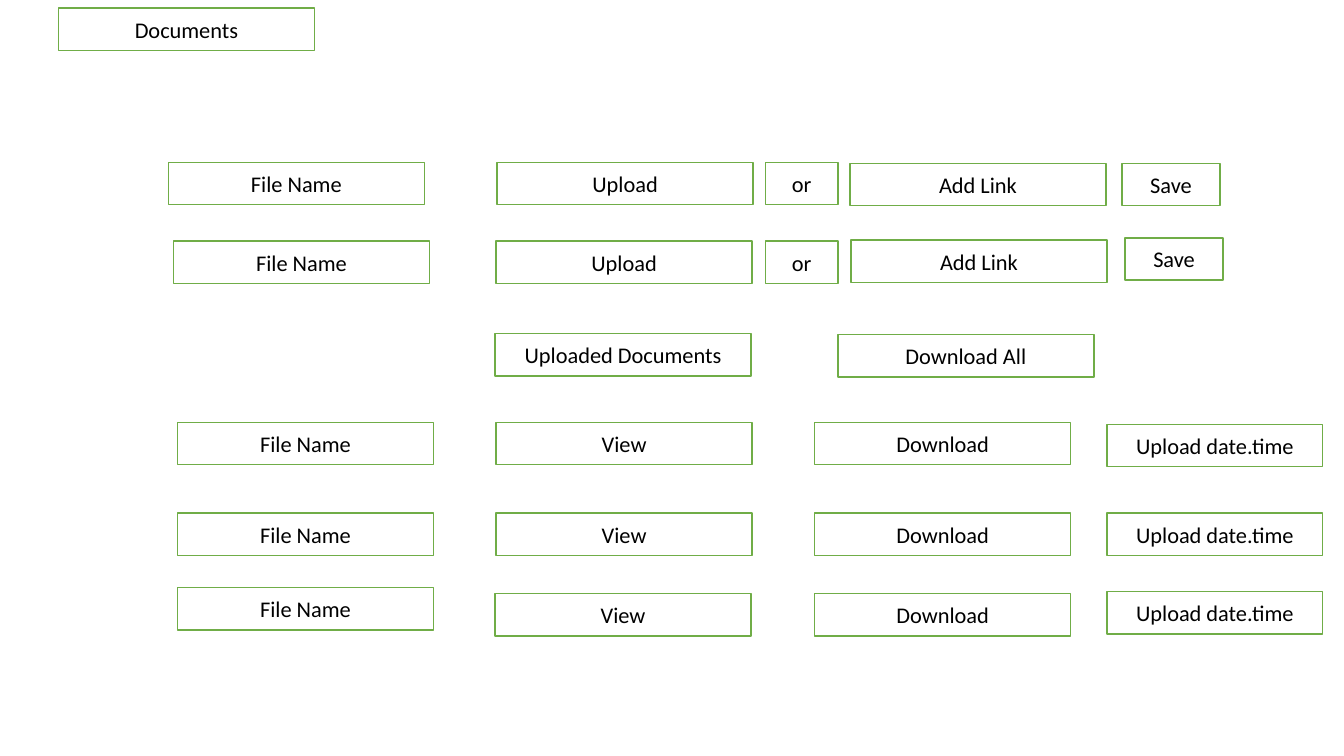
from pptx import Presentation
from pptx.dml.color import RGBColor
from pptx.enum.shapes import MSO_SHAPE
from pptx.enum.text import MSO_ANCHOR, PP_ALIGN
from pptx.util import Inches, Pt

RECT = MSO_SHAPE.RECTANGLE
MIDDLE = MSO_ANCHOR.MIDDLE
CENTER = PP_ALIGN.CENTER

WHITE = RGBColor(0xFF, 0xFF, 0xFF)
BLACK = RGBColor(0x00, 0x00, 0x00)
GREEN = RGBColor(0x70, 0xAD, 0x47)

# The grid: columns and rows are one inch each.
COLS, ROWS = 13.33, 7.5
WIDE, HIGH = 2.54, 0.42
WIDTHS = {"or": 0.72, "Save": 0.97, "Upload date.time": 2.14}

ENTRY = ("File Name", "Upload", "or", "Add Link", "Save")
STORED = ("File Name", "View", "Download", "Upload date.time")

# Each line of the form: labels, left columns, top rows.
LINES = [
    (("Documents",), (0.58,), (0.08,)),
    (ENTRY, (1.67, 4.93, 7.59, 8.43, 11.13), (1.61, 1.61, 1.61, 1.62, 1.62)),
    (ENTRY, (1.72, 4.92, 7.59, 8.44, 11.16), (2.39, 2.39, 2.39, 2.38, 2.36)),
    (("Uploaded Documents", "Download All"), (4.91, 8.31), (3.31, 3.32)),
    (STORED, (1.76, 4.92, 8.08, 10.98), (4.19, 4.19, 4.19, 4.21)),
    (STORED, (1.76, 4.92, 8.08, 10.98), (5.09, 5.09, 5.09, 5.09)),
    (STORED, (1.76, 4.91, 8.08, 10.98), (5.83, 5.89, 5.89, 5.87)),
]


class Form:
    """Draws framed labels on one slide in a single style."""

    font = {"name": "Calibri", "size": Pt(16)}
    frame = {"vertical_anchor": MIDDLE, "word_wrap": True}

    def __init__(self, deck):
        self.slide = deck.slides.add_slide(deck.slide_layouts[6])
        self.col = deck.slide_width / COLS
        self.row = deck.slide_height / ROWS

    def style(self, item, values):
        for key, value in values.items():
            setattr(item, key, value)

    def box(self, label, left, top):
        wide = WIDTHS.get(label, WIDE)
        shape = self.slide.shapes.add_shape(
            RECT, round(left * self.col), round(top * self.row),
            round(wide * self.col), round(HIGH * self.row))
        shape.shadow.inherit = False
        shape.fill.solid()
        shape.fill.fore_color.rgb = WHITE
        shape.line.color.rgb = GREEN
        shape.line.width = Pt(1)
        self.style(shape.text_frame, self.frame)
        para = shape.text_frame.paragraphs[0]
        para.alignment = CENTER
        run = para.add_run()
        run.text = label
        self.style(run.font, self.font)
        run.font.color.rgb = BLACK

    def line(self, labels, lefts, tops):
        for label, left, top in zip(labels, lefts, tops):
            self.box(label, left, top)


def main():
    deck = Presentation()
    deck.slide_width = Inches(COLS)
    deck.slide_height = Inches(ROWS)
    form = Form(deck)
    for labels, lefts, tops in LINES:
        form.line(labels, lefts, tops)
    deck.save("out.pptx")


if __name__ == "__main__":
    main()
